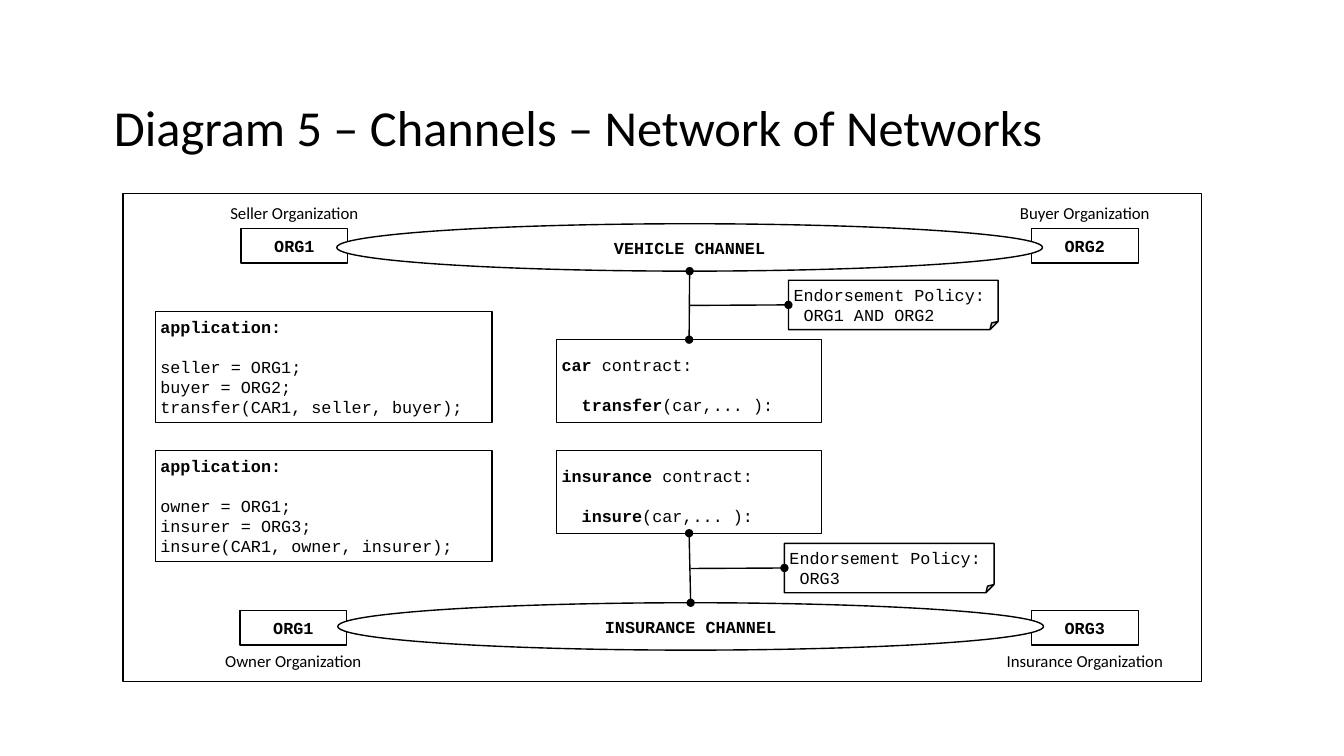
from dataclasses import dataclass
from typing import NamedTuple, Optional

from lxml.etree import SubElement
from pptx import Presentation
from pptx.dml.color import RGBColor
from pptx.enum.shapes import MSO_CONNECTOR as Connector, MSO_SHAPE as Preset
from pptx.enum.text import MSO_ANCHOR as Anchor, MSO_AUTO_SIZE as AutoSize, PP_ALIGN as Align
from pptx.oxml.ns import qn
from pptx.util import Inches, Length, Pt

BLACK = RGBColor(0x00, 0x00, 0x00)
WHITE = RGBColor(0xFF, 0xFF, 0xFF)
PLAIN, CODE = "Calibri", "Courier New"
TOP, LEFT, BOTTOM = 0, 1, 2  # connection sites
CODE_LINE = Pt(14)  # height of one line of code


def grid(cells: float) -> Length:
    """Columns and rows are both a tenth of an inch, one code character wide."""
    return Inches(cells / 10)


class Area(NamedTuple):
    left: float
    top: float
    width: float
    height: float


class Span(NamedTuple):
    text: str
    bold: bool = False


@dataclass
class Line:
    spans: list[Span]
    indent: int = 0
    gap: bool = False


@dataclass
class Panel:
    area: Area
    lines: list[Line]
    preset: Preset = Preset.RECTANGLE
    inset_top: float = 0.5
    inset_bottom: float = 0.5


@dataclass
class Org:
    name: str
    role: str
    left: float


@dataclass
class Channel:
    name: str
    left: float
    top: float
    org_top: float
    role_top: float
    orgs: list[Org]


@dataclass
class Link:
    start: tuple[float, float]
    end: tuple[float, float]
    ovals: tuple[str, ...]
    start_join: Optional[tuple[str, int]] = None
    end_join: Optional[tuple[str, int]] = None


def application(top: float, *code: str) -> Panel:
    lines = [Line([Span("application:", True)])]
    lines += [Line([Span(text)], gap=i == 0) for i, text in enumerate(code)]
    return Panel(Area(15.4, top, 33.4, 11), lines)


def contract(top: float, name: str, action: str) -> Panel:
    lines = [Line([Span(name, True), Span(" contract:")]),
             Line([Span(action, True), Span("(car,... ):")], indent=2, gap=True)]
    return Panel(Area(55.2, top, 26.3, 8.2), lines, inset_top=1.2)


def policy(left: float, top: float, rule: str) -> Panel:
    lines = [Line([Span("Endorsement Policy:")]), Line([Span(rule)], indent=1)]
    return Panel(Area(left, top, 20.8, 4.9), lines, Preset.FOLDED_CORNER, 1.2, 0.4)


PANELS = {
    "car": contract(33.7, "car", "transfer"),
    "insurance": contract(44.7, "insurance", "insure"),
    "sale": application(30.9, "seller = ORG1;", "buyer = ORG2;",
                        "transfer(CAR1, seller, buyer);"),
    "cover": application(44.7, "owner = ORG1;", "insurer = ORG3;",
                         "insure(CAR1, owner, insurer);"),
    "car policy": policy(78.2, 27.8, "ORG1 AND ORG2"),
    "insurance policy": policy(77.8, 53.9, "ORG3"),
}
CHANNELS = [
    Channel("VEHICLE CHANNEL", 33.4, 22.2, 22.7, 19.6,
            [Org("ORG1", "Seller Organization", 23.9),
             Org("ORG2", "Buyer Organization", 102.3)]),
    Channel("INSURANCE CHANNEL", 33.5, 59.8, 60.6, 64.1,
            [Org("ORG1", "Owner Organization", 23.8),
             Org("ORG3", "Insurance Organization", 102.3)]),
]
BOTH_ENDS, END_ONLY = ("headEnd", "tailEnd"), ("tailEnd",)
LINKS = [
    Link((68.4, 33.7), (68.4, 26.9), BOTH_ENDS, start_join=("car", TOP)),
    Link((68.5, 59.8), (68.4, 52.9), BOTH_ENDS, end_join=("insurance", BOTTOM)),
    Link((68.4, 30.3), (78.2, 30.3), END_ONLY, end_join=("car policy", LEFT)),
    Link((68.5, 56.4), (77.8, 56.4), END_ONLY, end_join=("insurance policy", LEFT)),
]


def place(area: Area) -> list[Length]:
    return [grid(cells) for cells in area]


def write(box, lines: list[Line], *, font=CODE, size=12, align=Align.LEFT,
          anchor=Anchor.MIDDLE, inset_top=0.5, inset_bottom=0.5,
          wrap=True, spacing=None) -> None:
    frame = box.text_frame
    frame.word_wrap = wrap
    frame.vertical_anchor = anchor
    frame.margin_left = frame.margin_right = grid(0.5)
    frame.margin_top, frame.margin_bottom = grid(inset_top), grid(inset_bottom)
    for i, line in enumerate(lines):
        para = frame.add_paragraph() if i else frame.paragraphs[0]
        para.alignment = align
        if spacing:
            para.line_spacing = spacing
        if line.gap:
            para.space_before = CODE_LINE
        if line.indent:
            para._p.get_or_add_pPr().set("marL", str(grid(line.indent)))
        for text, bold in line.spans:
            span = para.add_run()
            span.text = text
            span.font.name, span.font.size, span.font.bold = font, Pt(size), bold
            span.font.color.rgb = BLACK


def draw_shape(page, area: Area, preset=Preset.RECTANGLE, filled=True):
    box = page.shapes.add_shape(preset, *place(area))
    box.shadow.inherit = False
    if filled:
        box.fill.solid()
        box.fill.fore_color.rgb = WHITE
    else:
        box.fill.background()
    box.line.color.rgb = BLACK
    box.line.width = Pt(1)
    return box


def draw_panel(page, panel: Panel):
    box = draw_shape(page, panel.area, panel.preset)
    write(box, panel.lines, inset_top=panel.inset_top, inset_bottom=panel.inset_bottom)
    return box


def draw_channel(page, channel: Channel) -> None:
    for org in channel.orgs:
        box = draw_shape(page, Area(org.left, channel.org_top, 10.6, 3.4))
        write(box, [Line([Span(org.name, True)])], align=Align.CENTER)
        # Role label shares the centre of its organization
        label = page.shapes.add_textbox(*place(Area(org.left - 3.2, channel.role_top, 17, 3)))
        write(label, [Line([Span(org.role)])], font=PLAIN, align=Align.CENTER,
              anchor=Anchor.TOP, wrap=False)
        label.text_frame.auto_size = AutoSize.SHAPE_TO_FIT_TEXT
    oval = draw_shape(page, Area(channel.left, channel.top, 70, 4.7), Preset.OVAL)
    write(oval, [Line([Span(channel.name, True)])], align=Align.CENTER)


def draw_link(page, link: Link, boxes: dict) -> None:
    points = [grid(cells) for cells in (*link.start, *link.end)]
    wire = page.shapes.add_connector(Connector.STRAIGHT, *points)
    if link.start_join:
        name, site = link.start_join
        wire.begin_connect(boxes[name], site)
    if link.end_join:
        name, site = link.end_join
        wire.end_connect(boxes[name], site)
    wire.line.color.rgb = BLACK
    wire.line.width = Pt(1)
    for end in link.ovals:
        SubElement(wire.line._get_or_add_ln(), qn(f"a:{end}"), type="oval")
    SubElement(wire._element.spPr, qn("a:effectLst"))


def main() -> None:
    deck = Presentation()
    deck.slide_width, deck.slide_height = Inches(13.33), Inches(7.5)
    page = deck.slides.add_slide(deck.slide_layouts[6])

    # Title and frame
    title = page.shapes.add_textbox(*place(Area(10.8, 5.7, 115, 14.5)))
    write(title, [Line([Span("Diagram 5 – Channels – Network of Networks")])],
          font=PLAIN, size=36, spacing=0.9)
    draw_shape(page, Area(12.2, 19.2, 107, 48.4), filled=False)

    # Code panels, channels and the links between them
    boxes = {name: draw_panel(page, panel) for name, panel in PANELS.items()}
    for channel in CHANNELS:
        draw_channel(page, channel)
    for link in LINKS:
        draw_link(page, link, boxes)

    deck.save("out.pptx")


if __name__ == "__main__":
    main()
